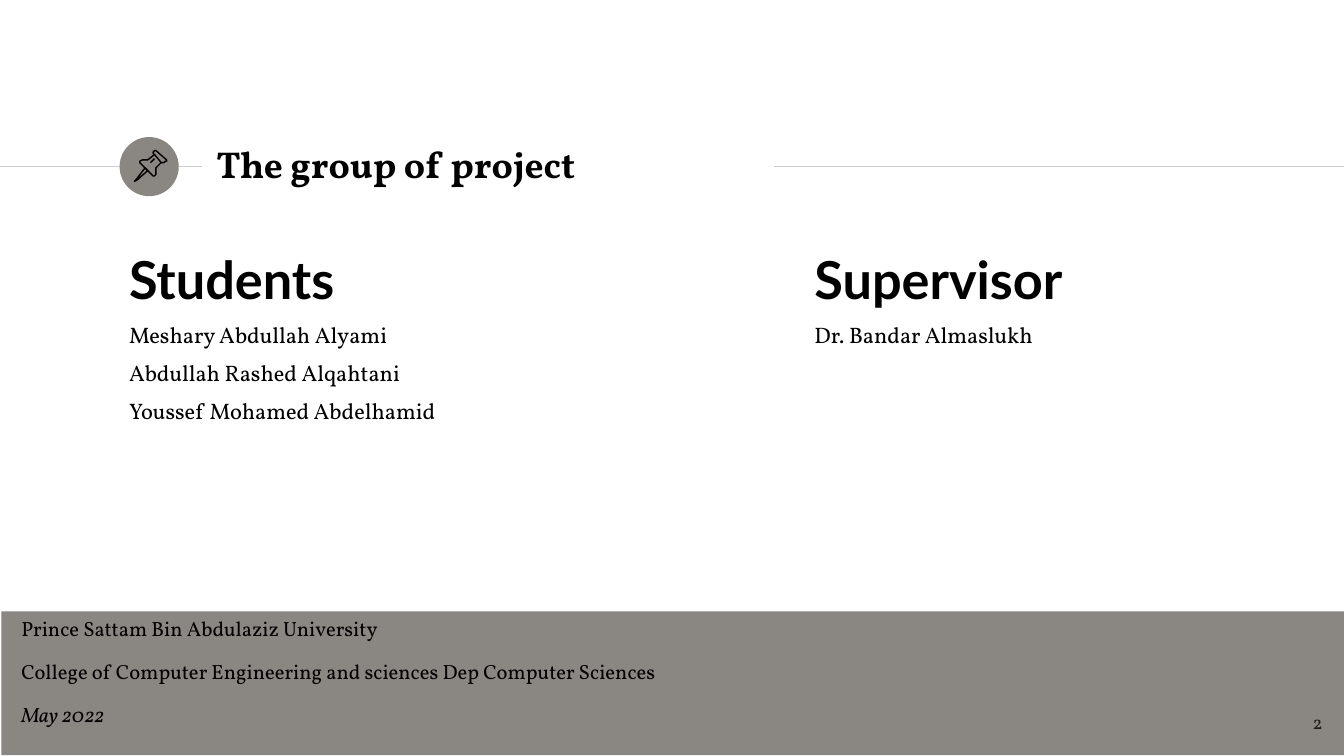
from typing import NamedTuple

from lxml.etree import SubElement
from pptx import Presentation
from pptx.dml.color import RGBColor
from pptx.enum.shapes import MSO_CONNECTOR, MSO_SHAPE
from pptx.enum.text import MSO_ANCHOR, MSO_AUTO_SIZE, PP_ALIGN
from pptx.oxml.ns import qn
from pptx.util import Inches, Pt

COLORS = {"gray": "8A8682", "rule": "CCCCCC", "black": "000000", "number": "1D1D1B"}
SERIF, SANS = "Vollkorn", "Lato"


class Area(NamedTuple):
    left: float
    top: float
    width: float
    height: float

    def lengths(self):
        return [Inches(value) for value in self]


class Column(NamedTuple):
    area: Area
    heading: str
    names: list[str]


class Outline(NamedTuple):
    points: list[tuple[float, float]]
    closed: bool


COLUMNS = [
    Column(Area(0.86, 1.74, 4.61, 2.41), "Students",
           ["Meshary Abdullah Alyami", "Abdullah Rashed Alqahtani",
            "Youssef Mohamed Abdelhamid"]),
    Column(Area(5.96, 1.74, 3.68, 2.41), "Supervisor", ["Dr. Bandar Almaslukh"]),
]

PIN = [
    # needle
    Outline([(1.08, 1.25), (1.01, 1.34), (1, 1.35), (1.02, 1.34), (1.1, 1.27)], True),
    # cap
    Outline([(1.15, 1.15), (1.2, 1.21), (1.22, 1.21), (1.23, 1.2), (1.24, 1.2),
             (1.24, 1.19), (1.16, 1.12), (1.15, 1.12), (1.14, 1.13), (1.14, 1.14)], True),
    # neck and collar
    Outline([(1.15, 1.15), (1.1, 1.19), (1.08, 1.19), (1.06, 1.19), (1.04, 1.2),
             (1.04, 1.21), (1.14, 1.31), (1.15, 1.31), (1.16, 1.3), (1.16, 1.28),
             (1.16, 1.25), (1.2, 1.21)], False),
    # highlight
    Outline([(1.12, 1.21), (1.15, 1.18)], False),
]


def rgb(name: str) -> RGBColor:
    return RGBColor.from_string(COLORS[name])


def add_rule(slide, start: float, end: float, height: float = 1.24) -> None:
    rule = slide.shapes.add_connector(MSO_CONNECTOR.STRAIGHT, Inches(start), Inches(height),
                                      Inches(end), Inches(height))
    rule.line.color.rgb = rgb("rule")
    rule.line.width = Pt(0.75)
    SubElement(rule._element.spPr, qn("a:effectLst"))


def add_filled(slide, kind: MSO_SHAPE, area: Area) -> None:
    shape = slide.shapes.add_shape(kind, *area.lengths())
    shape.shadow.inherit = False
    shape.fill.solid()
    shape.fill.fore_color.rgb = rgb("gray")
    shape.line.fill.background()


def add_outline(group, outline: Outline) -> None:
    points = [(Inches(x), Inches(y)) for x, y in outline.points]
    builder = group.shapes.build_freeform(*points[0])
    builder.add_line_segments(points[1:], close=outline.closed)
    shape = builder.convert_to_shape()
    shape.shadow.inherit = False
    shape.fill.background()
    shape.line.color.rgb = rgb("black")
    shape.line.width = Pt(0.75)


def prepare_frame(box, area: Area, anchor=MSO_ANCHOR.TOP):
    """Place a box and give its text frame even margins."""
    box.left, box.top, box.width, box.height = area.lengths()
    frame = box.text_frame
    frame.word_wrap = True
    frame.auto_size = MSO_AUTO_SIZE.NONE
    frame.vertical_anchor = anchor
    frame.margin_left = frame.margin_right = Inches(0.1)
    frame.margin_top = frame.margin_bottom = Inches(0.1)
    return frame


def write(frame, text: str, *, size: float, font: str = SERIF, color: str = "black",
          bold: bool = False, italic: bool = False, before: float = 0,
          align=PP_ALIGN.LEFT) -> None:
    """Fill the first paragraph if it is free, else add one, without a bullet."""
    para = frame.add_paragraph() if frame.text else frame.paragraphs[0]
    para.alignment = align
    para.space_before = Pt(before)
    properties = para._p.get_or_add_pPr()
    properties.set("marL", "0")
    properties.set("indent", "0")
    SubElement(properties, qn("a:buNone"))
    span = para.add_run()
    span.text = text
    span.font.name = font
    span.font.size = Pt(size)
    span.font.bold = bold
    span.font.italic = italic
    span.font.color.rgb = rgb(color)


def add_text_frame(slide, area: Area):
    return prepare_frame(slide.shapes.add_textbox(*area.lengths()), area)


def main() -> None:
    deck = Presentation()
    deck.slide_width = Inches(10)
    deck.slide_height = deck.slide_width * 9 // 16
    page = deck.slides.add_slide(deck.slide_layouts.get_by_name("Two Content"))
    title, *bodies = page.placeholders

    add_rule(page, 0, 1.5)
    add_rule(page, 5.76, 10)
    add_filled(page, MSO_SHAPE.OVAL, Area(0.89, 1.02, 0.44, 0.44))
    add_filled(page, MSO_SHAPE.RECTANGLE, Area(0.01, 4.55, 10, 1.07))

    pin = page.shapes.add_group_shape()
    for outline in PIN:
        add_outline(pin, outline)

    heading = prepare_frame(title, Area(1.51, 0.98, 4.22, 0.48), MSO_ANCHOR.MIDDLE)
    write(heading, "The group of project", size=20, bold=True)

    for body, column in zip(bodies, COLUMNS):
        frame = prepare_frame(body, column.area)
        write(frame, column.heading, size=28, font=SANS, bold=True, before=6)
        for name in column.names:
            write(frame, name, size=12, before=6)

    footer = add_text_frame(page, Area(0.06, 4.48, 8.58, 1.15))
    write(footer, "Prince Sattam Bin Abdulaziz University", size=11, before=10)
    write(footer, "College of Computer Engineering and sciences Dep Computer Sciences",
          size=11, before=10)
    write(footer, "May 2022", size=11, italic=True, before=10)

    number = add_text_frame(page, Area(9.34, 5.19, 0.6, 0.43))
    write(number, "2", size=10, color="number", align=PP_ALIGN.RIGHT)

    deck.save("out.pptx")


if __name__ == "__main__":
    main()
